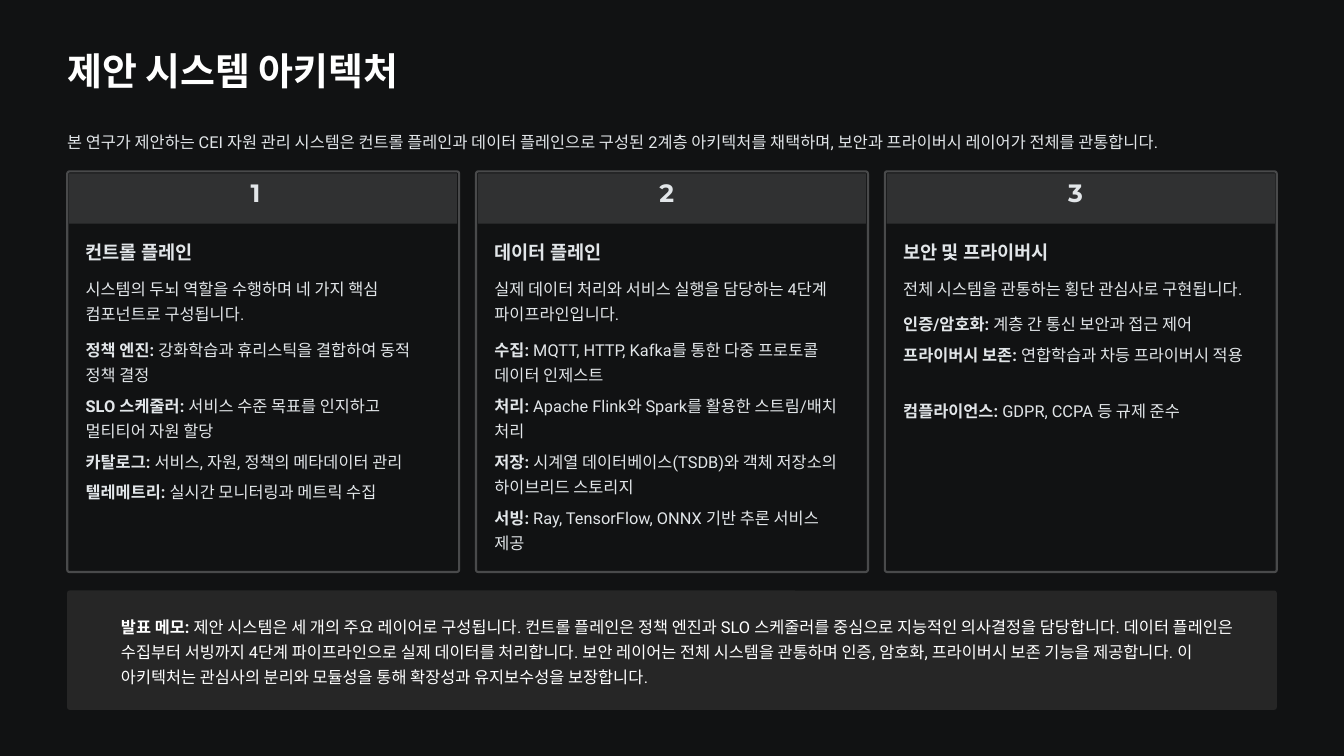
from collections import namedtuple
from dataclasses import dataclass

from pptx import Presentation
from pptx import util as u
from pptx.dml.color import RGBColor
from pptx.enum import shapes, text

Box = namedtuple("Box", "left top width height")


@dataclass(frozen=True)
class Theme:
    ground: str = "111213"
    band: str = "303132"
    edge: str = "494A4B"
    memo: str = "262626"
    bright: str = "FFFFFF"
    soft: str = "E2E6E9"
    heading: str = "Montserrat"
    body: str = "Roboto"
    title_size: float = 32.5
    number_size: float = 21.5
    card_size: float = 16
    body_size: float = 14
    leading: float = 21.5


THEME = Theme()
WIDTH, HEIGHT = 16, 9
MARGIN = WIDTH * 0.05
CONTENT = WIDTH - 2 * MARGIN
GUTTER = 0.2
LINE = 0.3
INTRO_GAP = 0.12
ITEM_GAP = 0.067

TITLE = "제안 시스템 아키텍처"
LEAD = ("본 연구가 제안하는 CEI 자원 관리 시스템은 컨트롤 플레인과 데이터 플레인으로 구성된 "
        "2계층 아키텍처를 채택하며, 보안과 프라이버시 레이어가 전체를 관통합니다.")
LAYERS = [
    ("컨트롤 플레인", ("시스템의 두뇌 역할을 수행하며 네 가지 핵심 컴포넌트로 구성됩니다.", 2), [
        ("정책 엔진:", " 강화학습과 휴리스틱을 결합하여 동적 정책 결정", 2),
        ("SLO 스케줄러:", " 서비스 수준 목표를 인지하고 멀티티어 자원 할당", 2),
        ("카탈로그:", " 서비스, 자원, 정책의 메타데이터 관리", 1),
        ("텔레메트리:", " 실시간 모니터링과 메트릭 수집", 1),
    ]),
    ("데이터 플레인", ("실제 데이터 처리와 서비스 실행을 담당하는 4단계 파이프라인입니다.", 2), [
        ("수집:", " MQTT, HTTP, Kafka를 통한 다중 프로토콜 데이터 인제스트", 2),
        ("처리:", " Apache Flink와 Spark를 활용한 스트림/배치 처리", 2),
        ("저장:", " 시계열 데이터베이스(TSDB)와 객체 저장소의 하이브리드 스토리지", 2),
        ("서빙:", " Ray, TensorFlow, ONNX 기반 추론 서비스 제공", 2),
    ]),
    ("보안 및 프라이버시", ("전체 시스템을 관통하는 횡단 관심사로 구현됩니다.", 1), [
        ("인증/암호화:", " 계층 간 통신 보안과 접근 제어", 1),
        ("프라이버시 보존:", " 연합학습과 차등 프라이버시 적용", 2),
        ("컴플라이언스:", " GDPR, CCPA 등 규제 준수", 1),
    ]),
]
MEMO = ("발표 메모:",
        " 제안 시스템은 세 개의 주요 레이어로 구성됩니다. 컨트롤 플레인은 정책 엔진과 SLO 스케줄러를 "
        "중심으로 지능적인 의사결정을 담당합니다. 데이터 플레인은 수집부터 서빙까지 4단계 파이프라인으로 "
        "실제 데이터를 처리합니다. 보안 레이어는 전체 시스템을 관통하며 인증, 암호화, 프라이버시 보존 기능을 "
        "제공합니다. 이 아키텍처는 관심사의 분리와 모듈성을 통해 확장성과 유지보수성을 보장합니다.")


def inches(box):
    return [u.Inches(length) for length in box]


def add_panel(slide, box, fill, edge=None, radius=None):
    kind = shapes.MSO_SHAPE.RECTANGLE if radius is None else shapes.MSO_SHAPE.ROUNDED_RECTANGLE
    panel = slide.shapes.add_shape(kind, *inches(box))
    panel.shadow.inherit = False
    if radius is not None:
        panel.adjustments[0] = radius
    panel.fill.solid()
    panel.fill.fore_color.rgb = RGBColor.from_string(fill)
    if edge:
        panel.line.color.rgb = RGBColor.from_string(edge)
        panel.line.width = u.Pt(1.8)
    else:
        panel.line.fill.background()


def add_text(slide, box, runs, size=THEME.body_size, font=THEME.body,
             color=THEME.soft, leading=THEME.leading):
    frame = slide.shapes.add_textbox(*inches(box)).text_frame
    frame.margin_left = frame.margin_top = frame.margin_right = frame.margin_bottom = 0
    frame.word_wrap = True
    frame.vertical_anchor = text.MSO_ANCHOR.TOP
    paragraph = frame.paragraphs[0]
    paragraph.line_spacing = u.Pt(leading)
    for words, bold in runs:
        run = paragraph.add_run()
        run.text = words
        run.font.size = u.Pt(size)
        run.font.name = font
        run.font.bold = bold
        run.font.color.rgb = RGBColor.from_string(color)


def add_header(slide, box):
    add_text(slide, Box(box.left, box.top, box.width, 0.57), [(TITLE, True)],
             THEME.title_size, THEME.heading, THEME.bright, 40.5)
    add_text(slide, Box(box.left, box.top + 0.96, box.width, LINE), [(LEAD, False)])


def add_layer_card(slide, box, number, layer):
    name, (intro, intro_lines), items = layer
    inset = 0.023
    left, width = box.left + 0.22, box.width - 0.44
    add_panel(slide, box, THEME.ground, THEME.edge, 0.006)
    add_panel(slide, Box(box.left + inset, box.top + inset, box.width - 2 * inset, 0.6), THEME.band)
    add_text(slide, Box(box.left + box.width / 2 - 0.15, box.top + 0.13, 0.3, 0.37),
             [(str(number), True)], THEME.number_size, THEME.heading)
    add_text(slide, Box(left, box.top + 0.82, width, 0.28), [(name, True)],
             THEME.card_size, THEME.heading, leading=20)
    top = box.top + 1.22
    add_text(slide, Box(left, top, width, intro_lines * LINE), [(intro, False)])
    top += intro_lines * LINE + INTRO_GAP
    for label, detail, lines in items:
        add_text(slide, Box(left, top, width, lines * LINE), [(label, True), (detail, False)])
        top += lines * LINE + ITEM_GAP


def add_layers(slide, box):
    width = (box.width - GUTTER * (len(LAYERS) - 1)) / len(LAYERS)
    for column, layer in enumerate(LAYERS):
        left = box.left + column * (width + GUTTER)
        add_layer_card(slide, Box(left, box.top, width, box.height), column + 1, layer)


def add_memo(slide, box):
    label, message = MEMO
    add_panel(slide, box, THEME.memo, radius=0.021)
    add_text(slide, Box(box.left + 0.64, box.top + 0.25, box.width - 0.85, 3 * LINE),
             [(label, True), (message, False)], color=THEME.bright)


def main():
    deck = Presentation()
    deck.slide_width, deck.slide_height = u.Inches(WIDTH), u.Inches(HEIGHT)
    slide = deck.slides.add_slide(deck.slide_layouts[6])
    slide.background.fill.solid()
    slide.background.fill.fore_color.rgb = RGBColor.from_string(THEME.ground)
    add_header(slide, Box(MARGIN, 0.55, CONTENT, 1.26))
    add_layers(slide, Box(MARGIN, 2.04, CONTENT, 4.77))
    add_memo(slide, Box(MARGIN, 7.03, CONTENT, 1.42))
    deck.save("out.pptx")


if __name__ == "__main__":
    main()
